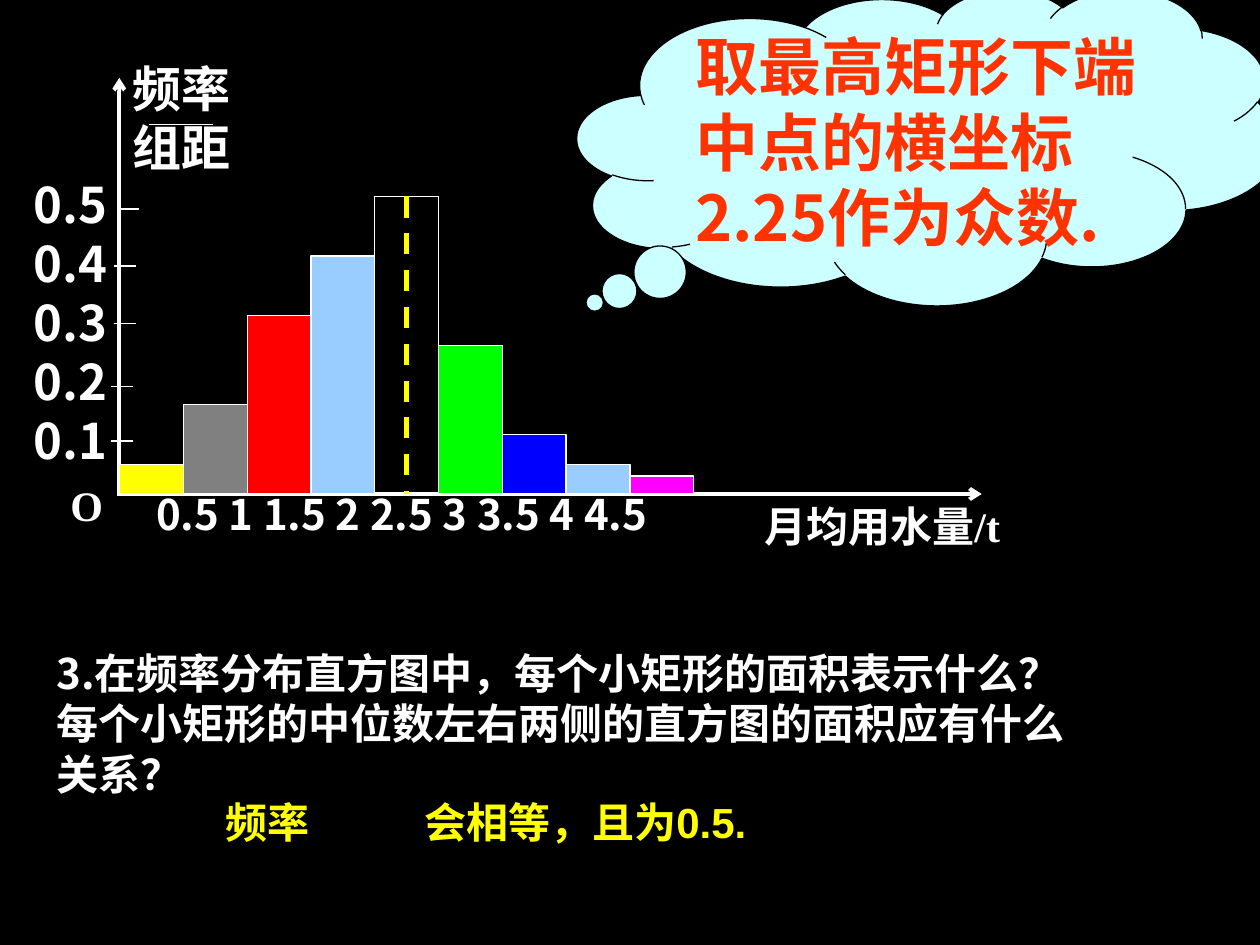
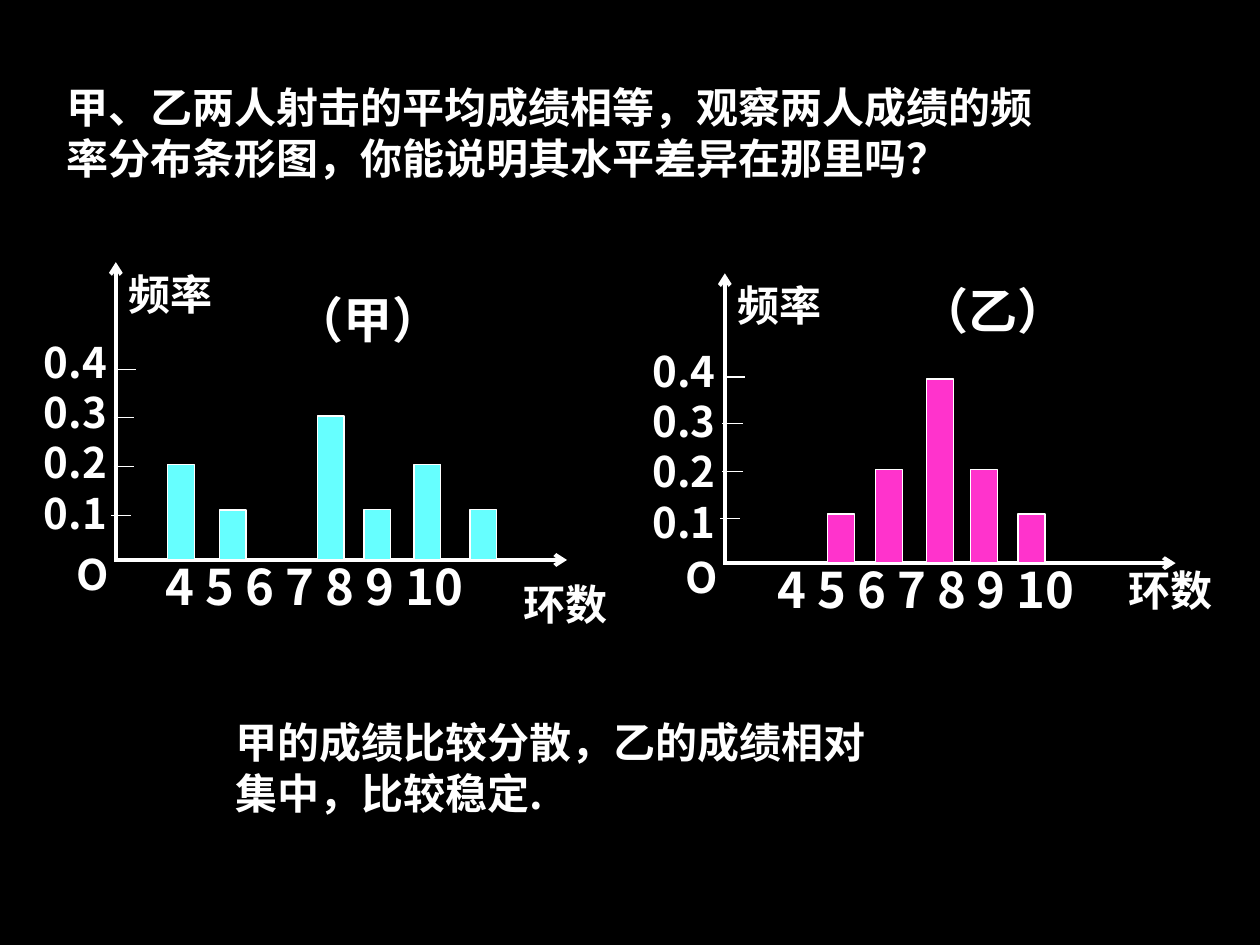
from lxml import etree
from pptx import Presentation
from pptx.dml.color import RGBColor
from pptx.enum.dml import MSO_LINE_DASH_STYLE as Dash
from pptx.enum.shapes import MSO_CONNECTOR as Connector
from pptx.enum.shapes import MSO_SHAPE as Preset
from pptx.oxml.ns import qn
from pptx.util import Pt

BLACK = RGBColor(0x00, 0x00, 0x00)
WHITE = RGBColor(0xFF, 0xFF, 0xFF)
YELLOW = RGBColor(0xFF, 0xFF, 0x00)
GRAY = RGBColor(0x80, 0x80, 0x80)
RED = RGBColor(0xFF, 0x00, 0x00)
SKY = RGBColor(0x99, 0xCC, 0xFF)
GREEN = RGBColor(0x00, 0xFF, 0x00)
BLUE = RGBColor(0x00, 0x00, 0xFF)
MAGENTA = RGBColor(0xFF, 0x00, 0xFF)
CYAN = RGBColor(0x66, 0xFF, 0xFF)
PINK = RGBColor(0xFF, 0x33, 0xCC)
PALE_CYAN = RGBColor(0xCC, 0xFF, 0xFF)
ORANGE = RGBColor(0xFF, 0x33, 0x00)
CJK, SERIF, SANS = "Noto Sans CJK SC", "Times New Roman", "Arial"
LINE_HEIGHT = 1.2


def add_text(slide, box, text, size=24, name=CJK, color=WHITE):
    frame = slide.shapes.add_textbox(*map(Pt, box)).text_frame
    frame.word_wrap = True
    frame.text = text
    font_format = {"size": Pt(size), "bold": True, "name": name}
    for paragraph in frame.paragraphs:
        paragraph.line_spacing = Pt(size * LINE_HEIGHT)
        for run in paragraph.runs:
            run.font.color.rgb = color
            for attribute, value in font_format.items():
                setattr(run.font, attribute, value)
            properties = run.font._element
            etree.SubElement(properties, qn("a:ea")).set("typeface", CJK)


def add_line(slide, start, end, width=0.75, color=WHITE, arrow=False):
    line = slide.shapes.add_connector(Connector.STRAIGHT, *map(Pt, start + end))
    line.line.color.rgb = color
    line.line.width = Pt(width)
    if arrow:
        tail = etree.SubElement(line.line._get_or_add_ln(), qn("a:tailEnd"))
        tail.set("type", "arrow")
    etree.SubElement(line._element.spPr, qn("a:effectLst"))
    return line


presentation = Presentation()
presentation.slide_width, presentation.slide_height = Pt(720), Pt(540)
background = presentation.slide_master.background.fill
background.solid()
background.fore_color.rgb = BLACK
blank_layout = presentation.slide_layouts[6]
water_slide = presentation.slides.add_slide(blank_layout)
shooting_slide = presentation.slides.add_slide(blank_layout)

# Histogram bars: equal widths, heights in units of 17 points
water_units = [1, 3, 6, 8, 10, 5, 2, 1, 0.6]
water_colors = [YELLOW, GRAY, RED, SKY, None, GREEN, BLUE, SKY, MAGENTA]
water_bars = [(68.4 + 36.45 * index, 17 * units, color)
              for index, (units, color) in enumerate(zip(water_units, water_colors))]
first_bars = [(95.8, 54.7, CYAN), (125.3, 28.6, CYAN), (181.4, 82.2, CYAN),
              (208.1, 28.8, CYAN), (236.6, 54.7, CYAN), (268.6, 28.8, CYAN)]
second_bars = [(473, 28, PINK), (500.4, 53.5, PINK), (529.6, 105.3, PINK),
               (554.8, 53.5, PINK), (581.8, 28, PINK)]

# Each label: box, text, size, font
charts = [
    {"slide": water_slide, "x": 68.2, "y": 282.3, "right": 561, "top": 44.5,
     "ticks": [(67, 119.5), (65, 152), (65, 185), (63.5, 221), (63.5, 252)],
     "tick_length": 12.6, "bars": water_bars, "bar_width": 36.45,
     "labels": [
         ((429.8, 282.2, 164, 51), "月均用水量/t", 24, SERIF),
         ((68.4, 30.2, 73, 85), "频率\n组距", 28, SERIF),
         ((12.2, 96.5, 73, 186), "0.5\n0.4\n0.3\n0.2\n0.1", 28, CJK),
         ((82.1, 275.8, 363, 51), "0.5 1 1.5 2 2.5 3 3.5 4 4.5", 24, CJK),
         ((33.1, 270.7, 37, 51), "O", 24, SERIF)]},
    {"slide": shooting_slide, "x": 66.2, "y": 320, "right": 324, "top": 149.8,
     "ticks": [(66.2, 211), (65, 238.5), (65, 266.5), (63.5, 294.5)],
     "tick_length": 11.5, "bars": first_bars, "bar_width": 15.3,
     "labels": [
         ((292.3, 326.9, 82, 43), "环数", 24, SERIF),
         ((66.2, 149.8, 64, 43), "频率", 24, SERIF),
         ((18, 188.6, 64, 128), "0.4\n0.3\n0.2\n0.1", 24, CJK),
         ((87.8, 314.6, 258, 43), "4 5 6 7 8 9 10", 28, CJK),
         ((36.7, 309.6, 32.4, 43), "O", 24, CJK),
         ((161.3, 162, 108, 43), "（甲）", 28, SERIF)]},
    {"slide": shooting_slide, "x": 414.2, "y": 321.8, "right": 671.8, "top": 156.2,
     "ticks": [(414.2, 215.5), (412.8, 242), (412.8, 269.3), (411.6, 296.5)],
     "tick_length": 11.5, "bars": second_bars, "bar_width": 15.3,
     "labels": [
         ((637.9, 319, 82, 42), "环数", 24, SERIF),
         ((414.2, 156.2, 64, 42), "频率", 24, SERIF),
         ((365.8, 193.7, 64, 125), "0.4\n0.3\n0.2\n0.1", 24, CJK),
         ((437, 316.1, 258, 42), "4 5 6 7 8 9 10", 28, CJK),
         ((384.5, 311.8, 32.4, 42), "O", 24, CJK),
         ((518.4, 157, 102, 42), "（乙）", 28, SERIF)]},
]

# Labels, axes, ticks and bars of every chart
tallest_bar = None
for chart in charts:
    slide, x, y = chart["slide"], chart["x"], chart["y"]
    for box, text, size, name in chart["labels"]:
        add_text(slide, box, text, size, name)
    add_line(slide, (x - 1, y), (chart["right"], y), 2.25, arrow=True)
    add_line(slide, (x, y + 1), (x, chart["top"]), 2.25, arrow=True)
    for tick_x, tick_y in chart["ticks"]:
        add_line(slide, (tick_x, tick_y), (tick_x + chart["tick_length"], tick_y))
    for left, height, color in chart["bars"]:
        bar = slide.shapes.add_shape(Preset.RECTANGLE, Pt(left), Pt(y - height),
                                     Pt(chart["bar_width"]), Pt(height))
        bar.shadow.inherit = False
        bar.line.color.rgb = WHITE
        bar.line.width = Pt(0.75)
        if color is None:
            bar.fill.background()
            tallest_bar = bar
        else:
            bar.fill.solid()
            bar.fill.fore_color.rgb = color

# Water slide: fraction bar and the midline of the tallest bar
add_line(water_slide, (85, 71.3), (121.7, 71.3))
midline = add_line(water_slide, (232.4, 112.3), (232.4, 282.3), 3, YELLOW)
midline.line.dash_style = Dash.DASH
midline.begin_connect(tallest_bar, 0)
midline.end_connect(tallest_bar, 2)

# Water slide: question, thought cloud and answers
add_text(water_slide, (25.2, 366.5, 595.4, 93.6),
         "3.在频率分布直方图中，每个小矩形的面积表示什么？"
         "每个小矩形的中位数左右两侧的直方图的面积应有什么关系？")
cloud = water_slide.shapes.add_shape(Preset.CLOUD_CALLOUT, Pt(329.8), Pt(-5.8),
                                     Pt(401.8), Pt(180))
cloud.adjustments[0], cloud.adjustments[1] = -0.475, 0.493
cloud.shadow.inherit = False
cloud.fill.solid()
cloud.fill.fore_color.rgb = PALE_CYAN
cloud.line.color.rgb = BLACK
cloud.line.width = Pt(0.75)
add_text(water_slide, (390.2, 12.2, 293.8, 136.8),
         "取最高矩形下端中点的横坐标2.25作为众数.", 36, color=ORANGE)
add_text(water_slide, (121.7, 451.4, 85, 36), "频率", 24, SANS, YELLOW)
add_text(water_slide, (235.4, 451.4, 266.4, 36), "会相等，且为0.5.", 24, SANS, YELLOW)

# Shooting slide: question and conclusion
add_text(shooting_slide, (31, 43.2, 578.2, 64.8),
         "甲、乙两人射击的平均成绩相等，观察两人成绩的频率分布条形图，"
         "你能说明其水平差异在那里吗？")
add_text(shooting_slide, (127.4, 406.1, 374.4, 64.8),
         "甲的成绩比较分散，乙的成绩相对集中，比较稳定.")

presentation.save("out.pptx")
